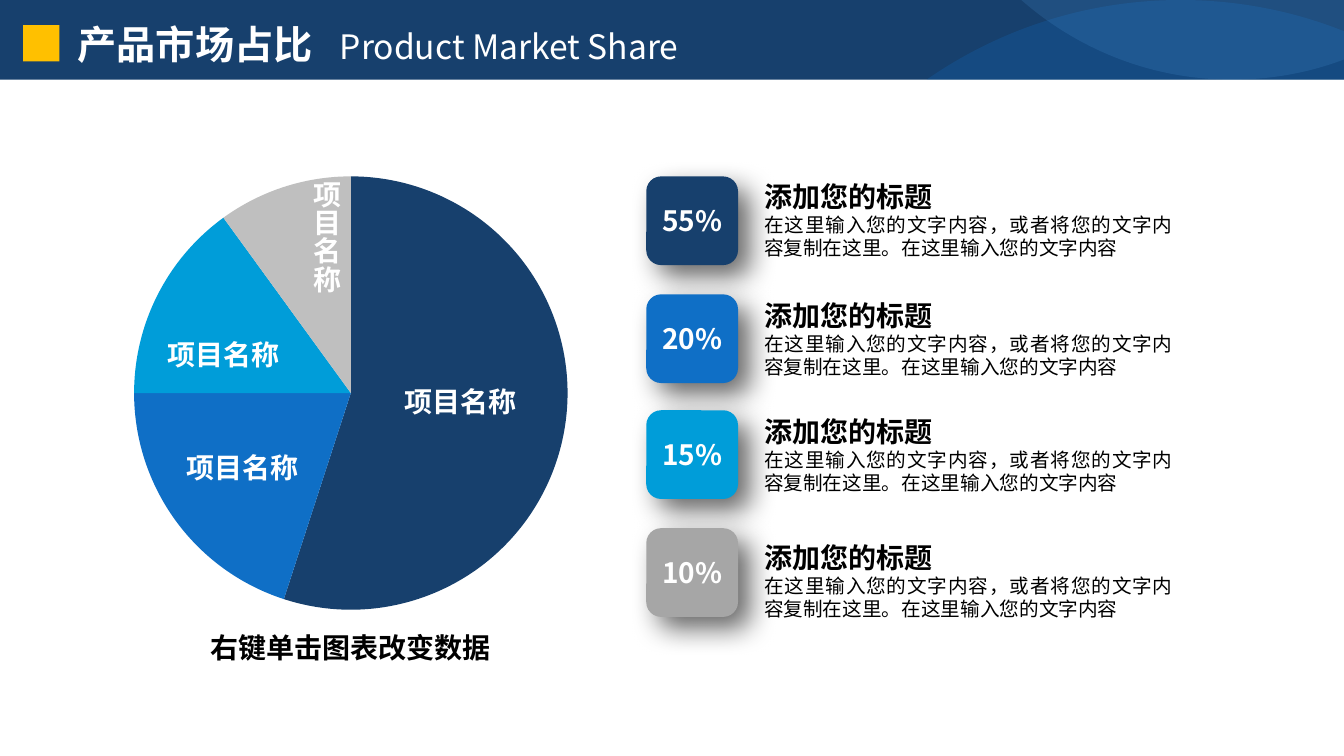
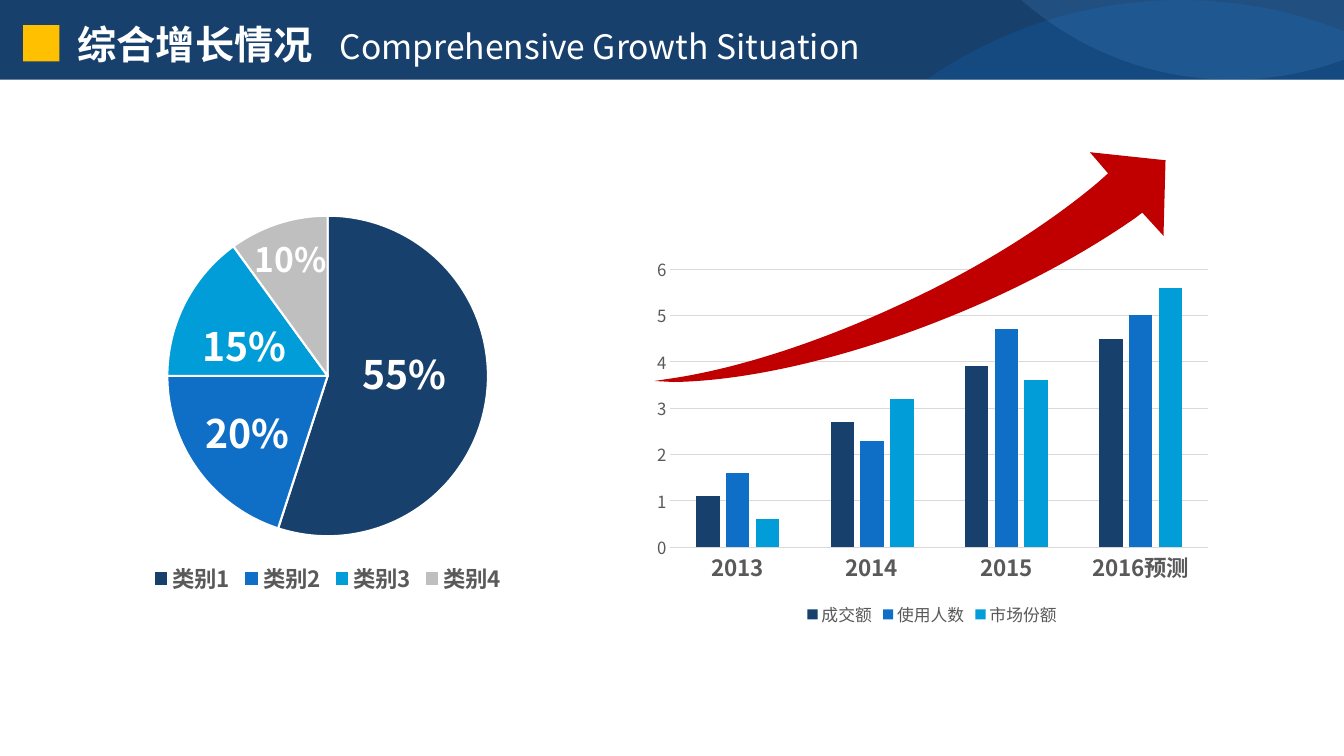
import lxml.etree
import pptx
import pptx.chart.data
import pptx.dml.color
import pptx.enum.chart
import pptx.enum.shapes
import pptx.enum.text
import pptx.oxml
import pptx.oxml.ns
import pptx.util

Inches = pptx.util.Inches
qn = pptx.oxml.ns.qn
FONT = "Noto Sans CJK SC"
COLORS = {
    "navy": "17406D", "blue": "0F6FC6", "cyan": "009DD9", "silver": "BFBFBF",
    "gray": "A6A6A6", "sky": "59AAF2", "gold": "FFC000", "red": "C00000",
    "white": "FFFFFF", "black": "000000", "label": "595959", "grid": "D9D9D9",
}
PIE_COLORS = ["navy", "blue", "cyan", "silver"]
PIE_VALUES = [55, 20, 15, 10]
LEFT = pptx.enum.text.PP_ALIGN.LEFT
CENTER = pptx.enum.text.PP_ALIGN.CENTER
JUSTIFY = pptx.enum.text.PP_ALIGN.JUSTIFY
BAND = (0, 0, 13.33, 0.79)
SWOOSHES = [
    ("blue", 23, [(11.71, 0), (12.28, 0, 12.83, 0.11, 13.33, 0.31), (13.33, 0.79),
                  (9.19, 0.79), (9.91, 0.29, 10.78, 0, 11.71, 0)]),
    ("sky", 15, [(13.33, 0), (13.33, 0.59), (12.99, 0.72, 12.61, 0.79, 12.22, 0.79),
                 (11.42, 0.79, 10.69, 0.49, 10.13, 0)]),
]
GROWTH_ARROW = [
    (5.07, 0.08), (5.05, 0.83), (4.84, 0.6), (4.76, 0.66),
    (4.27, 1, 3.65, 1.34, 2.96, 1.62), (1.91, 2.05, 0.91, 2.27, 0.19, 2.28),
    (0, 2.27), (0.2, 2.24), (0.84, 2.14, 1.62, 1.89, 2.42, 1.52),
    (3.21, 1.16, 3.9, 0.72, 4.4, 0.3), (4.5, 0.21), (4.32, 0),
]


def rgb(color):
    """Return the named colour."""
    return pptx.dml.color.RGBColor.from_string(COLORS[color])


def inches(box):
    """Convert the numbers of a box to lengths."""
    return [Inches(value) for value in box]


def style_font(font, size, color, bold=False):
    """Format a font, for Latin and East Asian text alike."""
    for name, value in {"size": pptx.util.Pt(size), "bold": bold, "name": FONT}.items():
        setattr(font, name, value)
    font.color.rgb = rgb(color)
    font._rPr.find(qn("a:latin")).addnext(pptx.oxml.parse_xml(
        f'<a:ea {pptx.oxml.ns.nsdecls("a")} typeface="{FONT}"/>'))


def paint(shape, color, opacity=100):
    """Give a shape a plain fill without line or shadow."""
    shape.shadow.inherit = False
    shape.fill.solid()
    shape.fill.fore_color.rgb = rgb(color)
    shape.line.fill.background()
    if opacity < 100:
        fill_color = shape.element.spPr.find(f'{qn("a:solidFill")}/{qn("a:srgbClr")}')
        lxml.etree.SubElement(fill_color, qn("a:alpha"), val=str(opacity * 1000))


def add_box(shapes, kind, box, color):
    """Add a painted preset shape."""
    shape = shapes.add_shape(kind, *inches(box))
    paint(shape, color)
    return shape


def add_outline(shapes, origin, outline, color, opacity=100):
    """Draw a closed outline of lines and cubic curves from an origin."""
    corners = [(Inches(origin[0] + x), Inches(origin[1] + y))
               for part in outline for x, y in zip(part[::2], part[1::2])]
    builder = shapes.build_freeform(*corners[0])
    builder.add_line_segments(corners[1:], close=True)
    shape = builder.convert_to_shape()
    segments = iter(shape.element.spPr.findall(f'.//{qn("a:lnTo")}'))
    for part in outline[1:]:
        segment = next(segments)
        if len(part) == 6:
            curve = lxml.etree.Element(qn("a:cubicBezTo"))
            segment.addprevious(curve)
            for piece in (segment, next(segments), next(segments)):
                curve.append(piece[0])
                piece.getparent().remove(piece)
    paint(shape, color, opacity)


def write(shape, text, size, color, bold=False, align=CENTER):
    """Put one formatted paragraph in a shape."""
    frame = shape.text_frame
    frame.word_wrap = True
    paragraph = frame.paragraphs[0]
    paragraph.alignment = align
    paragraph.line_spacing = 1.0
    run = paragraph.add_run()
    run.text = text
    style_font(run.font, size, color, bold)


def add_text(slide, box, text, size, color="black", bold=True, align=CENTER):
    """Add a text box."""
    shape = slide.shapes.add_textbox(*inches(box))
    write(shape, text, size, color, bold, align)
    return shape


def add_header(slide, box, title, subtitle, title_width):
    """Draw the title band with its marker and two-part title."""
    left, top = box[:2]
    shapes = slide.shapes.add_group_shape().shapes
    rectangle = pptx.enum.shapes.MSO_SHAPE.RECTANGLE
    add_box(shapes, rectangle, box, "navy")
    for color, opacity, outline in SWOOSHES:
        add_outline(shapes, (left, top), outline, color, opacity)
    placeholder = slide.shapes.title
    placeholder.element.getparent().append(placeholder.element)
    add_box(slide.shapes, rectangle, (left + 0.23, top + 0.25, 0.36, 0.36), "gold")
    position = inches((left + 0.67, top + 0.15, title_width, 0.57))
    for name, value in zip(("left", "top", "width", "height"), position):
        setattr(placeholder, name, value)
    frame = placeholder.text_frame
    frame.auto_size = pptx.enum.text.MSO_AUTO_SIZE.NONE
    frame.vertical_anchor = pptx.enum.text.MSO_ANCHOR.TOP
    write(placeholder, title, 28, "white", True, LEFT)
    paragraph = frame.paragraphs[0]
    tabs = lxml.etree.SubElement(paragraph._p.get_or_add_pPr(), qn("a:tabLst"))
    lxml.etree.SubElement(tabs, qn("a:tab"), pos=str(Inches(2.6)), algn="l")
    run = paragraph.add_run()
    run.text = "\t" + subtitle
    style_font(run.font, 24, "white")


def add_chart(slide, kind, box, plot_box, categories, series, legend_font=None):
    """Add a chart whose plot area fills the given box on the slide."""
    data = pptx.chart.data.CategoryChartData()
    data.categories = categories
    for name, values in series:
        data.add_series(name, values)
    chart = slide.shapes.add_chart(kind, *inches(box), data).chart
    chart.has_title = False
    style_font(chart.font, 10, "black")
    chart.has_legend = legend_font is not None
    if legend_font:
        chart.legend.position = pptx.enum.chart.XL_LEGEND_POSITION.BOTTOM
        chart.legend.include_in_layout = False
        style_font(chart.legend.font, **legend_font)
    shares = {
        "x": (plot_box[0] - box[0]) / box[2], "y": (plot_box[1] - box[1]) / box[3],
        "w": plot_box[2] / box[2], "h": plot_box[3] / box[3],
    }
    plot_area = chart.element.chart.plotArea
    for layout in plot_area.findall(qn("c:layout")):
        plot_area.remove(layout)
    layout = pptx.oxml.parse_xml(f'<c:layout {pptx.oxml.ns.nsdecls("c")}/>')
    plot_area.insert(0, layout)
    manual = lxml.etree.SubElement(layout, qn("c:manualLayout"))
    settings = {"layoutTarget": "inner", "xMode": "edge", "yMode": "edge", **shares}
    for name, value in settings.items():
        lxml.etree.SubElement(manual, qn(f"c:{name}"), val=str(value))
    return chart


def add_pie(slide, box, plot_box, categories, border=False, legend_font=None):
    """Draw the share pie."""
    chart = add_chart(slide, pptx.enum.chart.XL_CHART_TYPE.PIE, box, plot_box,
                      categories, [("Series 1", PIE_VALUES)], legend_font)
    plot = chart.plots[0]
    plot.vary_by_categories = True
    for index, color in enumerate(PIE_COLORS):
        point = plot.series[0].points[index].format
        point.fill.solid()
        point.fill.fore_color.rgb = rgb(color)
        if border:
            point.line.color.rgb = rgb("white")
            point.line.width = pptx.util.Pt(1.5)
        else:
            point.line.fill.background()


def add_pie_labels(slide, box, labels):
    """Write labels placed from the corner of the pie's box."""
    for text, size, (x, y, width, height) in labels:
        label = add_text(slide, (box[0] + x, box[1] + y, width, height), text, size, "white")
        if height > width:
            label.text_frame._txBody.bodyPr.set("vert", "eaVert")


def add_columns(slide, box, plot_box):
    """Draw the yearly column chart."""
    series = [("成交额", [1.1, 2.7, 3.9, 4.5]), ("使用人数", [1.6, 2.3, 4.7, 5]),
              ("市场份额", [0.6, 3.2, 3.6, 5.6])]
    chart = add_chart(slide, pptx.enum.chart.XL_CHART_TYPE.COLUMN_CLUSTERED, box, plot_box,
                      ["2013", "2014", "2015", "2016预测"], series,
                      {"size": 12, "color": "label"})
    plot = chart.plots[0]
    for name, value in {"gap_width": 219, "overlap": -27, "vary_by_categories": False}.items():
        setattr(plot, name, value)
    for column, color in zip(plot.series, PIE_COLORS):
        column.format.fill.solid()
        column.format.fill.fore_color.rgb = rgb(color)
    category_axis, value_axis = chart.category_axis, chart.value_axis
    for axis, size, bold in ((category_axis, 16, True), (value_axis, 12, False)):
        axis.major_tick_mark = pptx.enum.chart.XL_TICK_MARK.NONE
        style_font(axis.tick_labels.font, size, "label", bold)
    for name, value in {"minimum_scale": 0, "maximum_scale": 6, "major_unit": 1}.items():
        setattr(value_axis, name, value)
    value_axis.format.line.fill.background()
    for line in (category_axis.format.line, value_axis.major_gridlines.format.line):
        line.color.rgb = rgb("grid")
        line.width = pptx.util.Pt(0.75)


def add_share_row(slide, box, share, color, text_shift):
    """Draw a shadowed share tile with a heading and text beside it."""
    left, top, width, height = box
    tile = add_box(slide.shapes, pptx.enum.shapes.MSO_SHAPE.ROUNDED_RECTANGLE,
                   (left, top, 0.91, height), color)
    shadow = lxml.etree.SubElement(
        tile.element.spPr.find(qn("a:effectLst")), qn("a:outerShdw"),
        blurRad=str(pptx.util.Pt(20)), dist=str(pptx.util.Pt(12)), dir="2700000",
        algn="tl", rotWithShape="0")
    shade = lxml.etree.SubElement(shadow, qn("a:srgbClr"), val=COLORS["black"])
    lxml.etree.SubElement(shade, qn("a:alpha"), val="60000")
    tile.text_frame.vertical_anchor = pptx.enum.text.MSO_ANCHOR.MIDDLE
    write(tile, share, 20, "white", True)
    text_left, text_top, text_width = left + 1.07, top + text_shift, width - 1.07
    add_text(slide, (text_left, text_top, 2.24, 0.44), "添加您的标题", 20, align=LEFT)
    add_text(slide, (text_left, text_top + 0.33, text_width, 0.57),
             "在这里输入您的文字内容，或者将您的文字内容复制在这里。在这里输入您的文字内容",
             14, bold=False, align=JUSTIFY)


def add_slide(presentation, title, subtitle, title_width):
    """Add a slide with the shared header."""
    slide = presentation.slides.add_slide(presentation.slide_layouts[5])
    add_header(slide, BAND, title, subtitle, title_width)
    return slide


def build_market_share(presentation):
    """Build the slide on market share."""
    slide = add_slide(presentation, "产品市场占比", "Product Market Share", 7.27)
    pie_box = (1.11, 1.61, 4.74, 4.58)
    add_pie(slide, pie_box, (1.33, 1.75, 4.3, 4.3), ["1", "2", "3", "4"])
    rows = [(1.75, "navy", -0.02), (2.92, "blue", -0.01),
            (4.07, "cyan", -0.01), (5.24, "gray", 0.07)]
    for value, (top, color, shift) in zip(PIE_VALUES, rows):
        add_share_row(slide, (6.41, top, 5.32, 0.88), f"{value}%", color, shift)
    add_text(slide, (1.83, 6.21, 3.3, 0.44), "右键单击图表改变数据", 20)
    places = [(2.57, 2.16, 1.77, 0.44), (0.41, 2.81, 1.77, 0.44),
              (0.22, 1.69, 1.77, 0.44), (1.8, 0.09, 0.54, 1.33)]
    add_pie_labels(slide, pie_box, [("项目名称", 20, place) for place in places])


def build_growth(presentation):
    """Build the slide on growth."""
    slide = add_slide(presentation, "综合增长情况", "Comprehensive Growth Situation", 9.77)
    add_columns(slide, (6.4, 2.47, 5.69, 3.79), (6.65, 2.67, 5.33, 2.76))
    add_outline(slide.shapes, (6.49, 1.51), GROWTH_ARROW, "red")
    pie_box = (0.3, 2, 5.9, 3.94)
    add_pie(slide, pie_box, (1.66, 2.14, 3.18, 3.18),
            [f"类别{number}" for number in range(1, 5)], True,
            {"size": 16, "color": "label", "bold": True})
    places = [(3.15, 1.43, 1.13, 0.57), (1.59, 2.01, 1.13, 0.57),
              (1.56, 1.15, 1.13, 0.57), (2.02, 0.32, 1.13, 0.5)]
    add_pie_labels(slide, pie_box, [(f"{value}%", size, place) for value, size, place
                                    in zip(PIE_VALUES, (28, 28, 28, 24), places)])


def main():
    """Build and save the presentation."""
    presentation = pptx.Presentation()
    presentation.slide_width, presentation.slide_height = inches((13.33, 7.5))
    build_market_share(presentation)
    build_growth(presentation)
    presentation.save("out.pptx")


if __name__ == "__main__":
    main()
